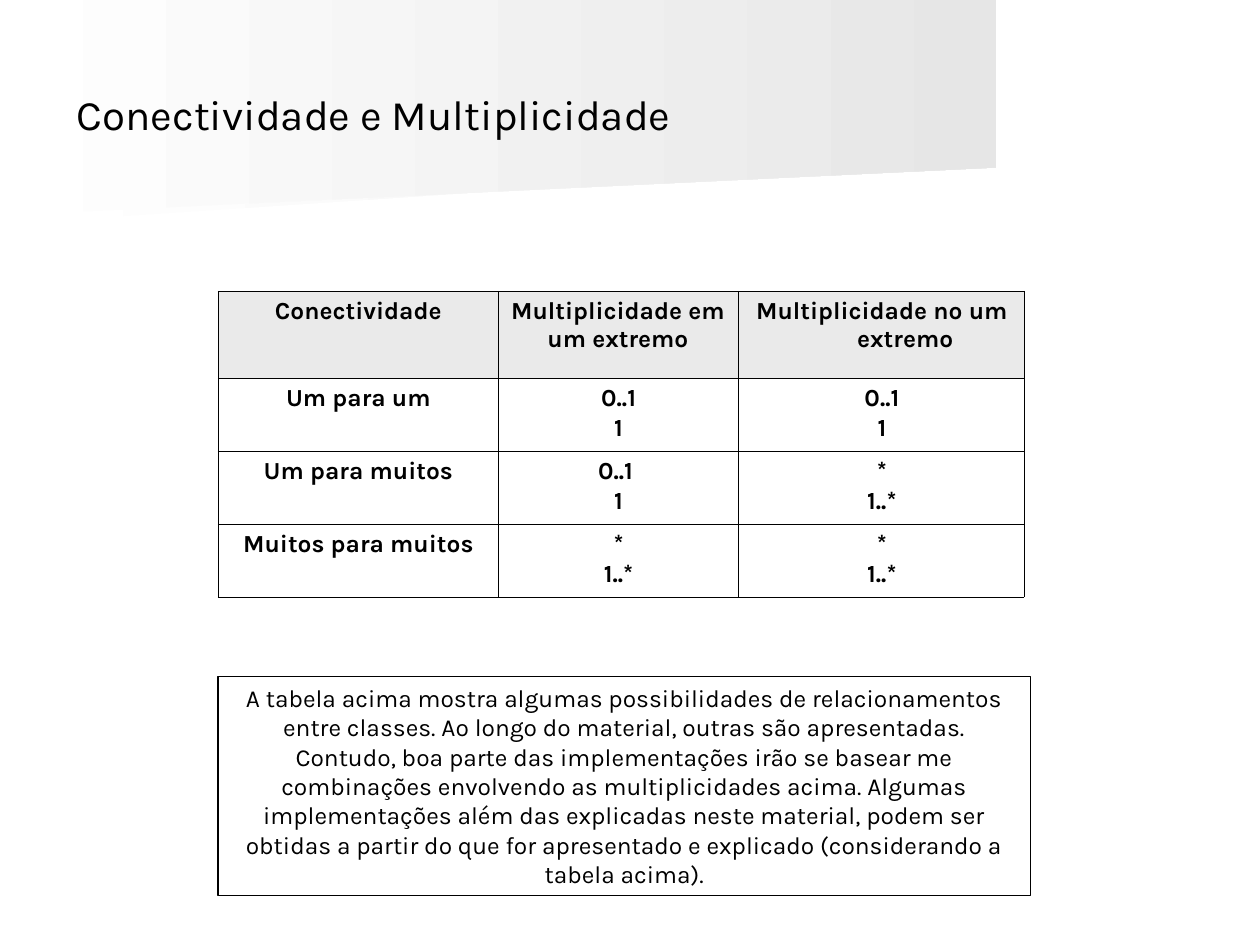
"""Builds a slide on connectivity and multiplicity between classes."""
from lxml import etree
from pptx import Presentation
from pptx.dml.color import RGBColor
from pptx.enum.shapes import MSO_SHAPE
from pptx.enum.text import MSO_ANCHOR, MSO_AUTO_SIZE, PP_ALIGN
from pptx.oxml.ns import qn
from pptx.util import Inches, Pt

RECTANGLE = MSO_SHAPE.RECTANGLE
LEFT, CENTER = PP_ALIGN.LEFT, PP_ALIGN.CENTER
TOP, MIDDLE = MSO_ANCHOR.TOP, MSO_ANCHOR.MIDDLE
NO_FIT, GROW = MSO_AUTO_SIZE.NONE, MSO_AUTO_SIZE.SHAPE_TO_FIT_TEXT

BLACK = RGBColor(0x00, 0x00, 0x00)
WHITE = RGBColor(0xFF, 0xFF, 0xFF)
HEADER_GRAY = RGBColor(0xEA, 0xEA, 0xEA)
LOWER_GRAY = RGBColor(0xF0, 0xF0, 0xF0)
UPPER_GRAY = RGBColor(0xE6, 0xE6, 0xE6)

FONT = "Karla"
COLUMN_WIDTHS = (2.22, 1.91, 2.27)
ROW_HEIGHTS = (0.69, 0.58, 0.58, 0.58)
ROWS = (
    ("Conectividade", "Multiplicidade em um extremo", "Multiplicidade no um extremo"),
    ("Um para um", "0..1\n1", "0..1\n1"),
    ("Um para muitos", "0..1 \n1", "*\n1..*"),
    ("Muitos para muitos", "*\n1..*", "*\n1..*"),
)
UNINDENTED_CELL = (0, 1)
NOTE = (
    "A tabela acima mostra algumas possibilidades de relacionamentos entre classes. "
    "Ao longo do material, outras são apresentadas. Contudo, boa parte das "
    "implementações irão se basear me combinações envolvendo as multiplicidades acima. "
    "Algumas implementações além das explicadas neste material, podem ser obtidas a "
    "partir do que for apresentado e explicado (considerando a tabela acima)."
)


def format_paragraph(paragraph, size, alignment, bold=False):
    """Set the font and alignment of a paragraph."""
    paragraph.alignment = alignment
    font = paragraph.font
    font.name, font.size, font.bold = FONT, Pt(size), bold
    font.color.rgb = BLACK


def add_band(slide, points, gray):
    """Draw a band that fades from white to gray."""
    corners = [(Inches(x), Inches(y)) for x, y in points]
    builder = slide.shapes.build_freeform(*corners[0], scale=1.0)
    builder.add_line_segments(corners[1:], close=True)
    shape = builder.convert_to_shape()
    shape.shadow.inherit = False
    shape.line.fill.background()
    shape.fill.gradient()
    shape.fill.gradient_angle = 0
    for stop, color, position in zip(shape.fill.gradient_stops, (WHITE, gray), (0, 1)):
        stop.color.rgb = color
        stop.position = position


def add_title(slide, text):
    """Place the title in front of the bands."""
    title = slide.shapes.title
    slide.shapes._spTree.append(title._element)
    title.left, title.top = Inches(0.51), Inches(0.28)
    title.width, title.height = Inches(9), Inches(1.25)
    frame = title.text_frame
    frame.text = text
    frame.auto_size, frame.vertical_anchor = NO_FIT, MIDDLE
    format_paragraph(frame.paragraphs[0], 24, LEFT)


def add_borders(cell):
    """Outline a table cell with hairlines."""
    properties = cell._tc.get_or_add_tcPr()
    for side in ("lnL", "lnR", "lnT", "lnB"):
        line = etree.SubElement(properties, qn(f"a:{side}"), w=str(Pt(0.06)))
        fill = etree.SubElement(line, qn("a:solidFill"))
        etree.SubElement(fill, qn("a:srgbClr"), val=str(BLACK))


def fill_cell(cell, text, color, indented):
    """Write and format one table cell."""
    add_borders(cell)
    cell.fill.solid()
    cell.fill.fore_color.rgb = color
    cell.text = text
    for index, paragraph in enumerate(cell.text_frame.paragraphs):
        format_paragraph(paragraph, 14, CENTER, bold=True)
        paragraph.line_spacing = 1.05 if index else 0.98
        if indented:
            properties = paragraph._p.get_or_add_pPr()
            properties.set("marL", str(Inches(0.38)))
            properties.set("indent", str(Inches(-0.37)))


def add_multiplicity_table(slide):
    """Add the table of connectivity and multiplicity."""
    table = slide.shapes.add_table(
        len(ROWS), len(COLUMN_WIDTHS), Inches(1.73), Inches(2.31),
        Inches(sum(COLUMN_WIDTHS)), Inches(sum(ROW_HEIGHTS)),
    ).table
    for column, width in zip(table.columns, COLUMN_WIDTHS):
        column.width = Inches(width)
    for row, height in zip(table.rows, ROW_HEIGHTS):
        row.height = Inches(height)
    for row_index, texts in enumerate(ROWS):
        color = WHITE if row_index else HEADER_GRAY
        for column_index, text in enumerate(texts):
            position = (row_index, column_index)
            fill_cell(table.cell(*position), text, color, position != UNINDENTED_CELL)


def add_note(slide, text):
    """Add the outlined note below the table."""
    shape = slide.shapes.add_shape(
        RECTANGLE, Inches(1.73), Inches(5.37), Inches(6.45), Inches(1.74))
    shape.shadow.inherit = False
    shape.fill.background()
    shape.line.color.rgb = BLACK
    shape.line.width = Pt(0.75)
    frame = shape.text_frame
    frame.text = text
    frame.word_wrap, frame.auto_size, frame.vertical_anchor = True, GROW, TOP
    format_paragraph(frame.paragraphs[0], 14, CENTER)


def main():
    """Build and save the presentation."""
    presentation = Presentation()
    presentation.slide_width, presentation.slide_height = Inches(10), Inches(7.5)
    slide = presentation.slides.add_slide(presentation.slide_layouts[5])
    add_band(slide, [(7.77, 1.26), (0, 1.78), (0, 0.83), (7.78, 0.83)], LOWER_GRAY)
    add_band(slide, [(7.91, 1.33), (0, 1.71), (0, 0), (7.91, 0)], UPPER_GRAY)
    add_title(slide, "Conectividade e Multiplicidade")
    add_multiplicity_table(slide)
    add_note(slide, NOTE)
    presentation.save("out.pptx")


if __name__ == "__main__":
    main()
